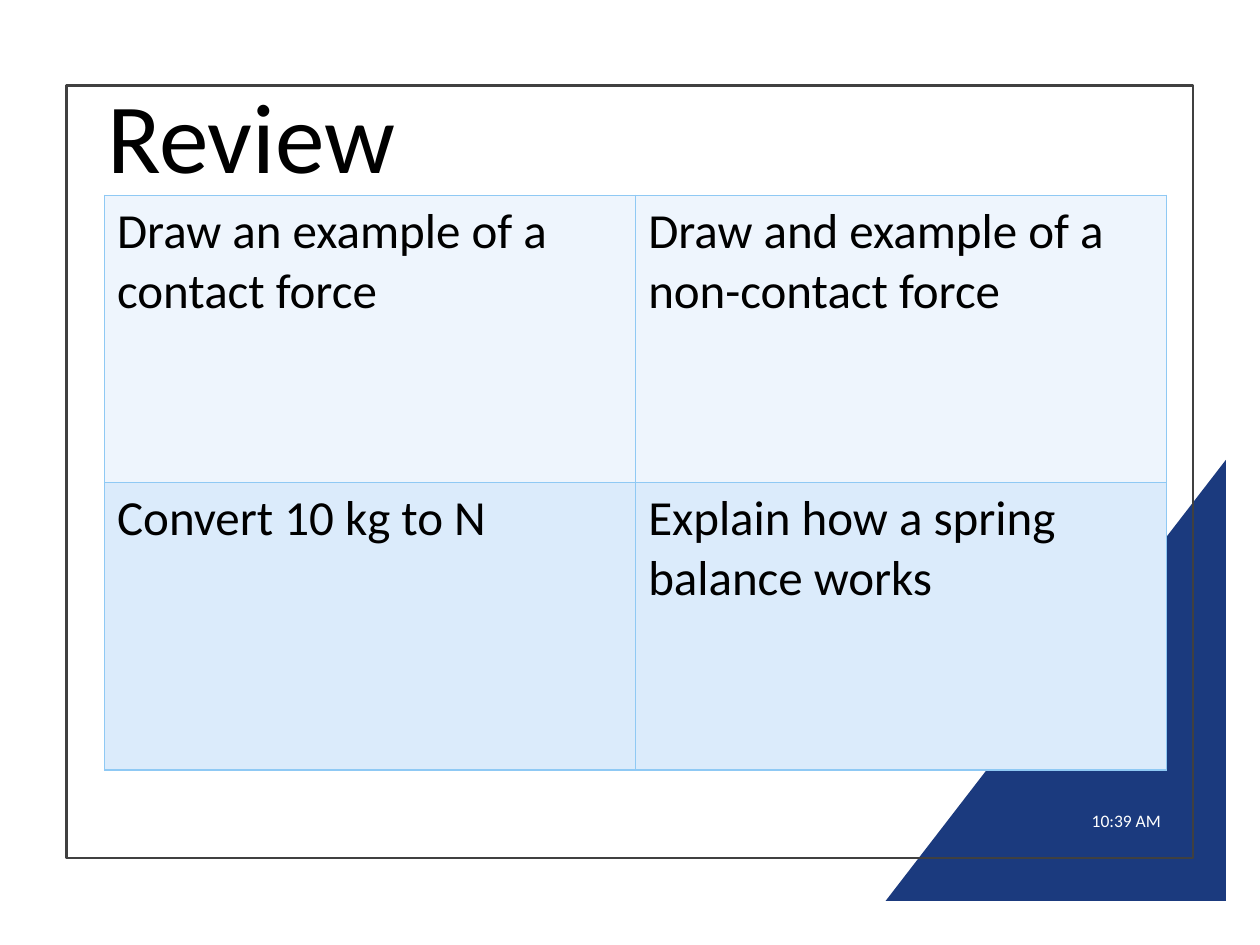
from typing import NamedTuple

from lxml.etree import SubElement
from pptx import Presentation
from pptx.dml.color import RGBColor
from pptx.enum.shapes import MSO_SHAPE
from pptx.enum.text import MSO_ANCHOR, PP_ALIGN
from pptx.oxml.ns import qn
from pptx.util import Inches, Pt

FONT = "Calibri"
BLACK, WHITE, NAVY, GRAY = "000000", "FFFFFF", "1B3A7E", "404040"
BORDER = "8FC9F4"


class QuestionRow(NamedTuple):
    fill: str
    questions: tuple[str, str]


ROWS = [
    QuestionRow("EEF5FD", ("Draw an example of a contact force",
                           "Draw and example of a non-contact force")),
    QuestionRow("DBEBFB", ("Convert 10 kg to N",
                           "Explain how a spring balance works")),
]


def rgb(color: str) -> RGBColor:
    return RGBColor.from_string(color)


def box(left: float, top: float, width: float, height: float) -> tuple:
    return Inches(left), Inches(top), Inches(width), Inches(height)


def write(tf, text: str, size: float, color: str):
    """Fill the text frame with one styled paragraph and return it."""
    tf.word_wrap = True
    p = tf.paragraphs[0]
    p.text = text
    p.font.name, p.font.size = FONT, Pt(size)
    p.font.color.rgb = rgb(color)
    return p


def add_corner(slide) -> None:
    sp = slide.shapes.add_shape(MSO_SHAPE.RIGHT_TRIANGLE, *box(7.03, 3.65, 2.7, 3.5))
    sp.shadow.inherit = False
    sp.fill.solid()
    sp.fill.fore_color.rgb = rgb(NAVY)
    sp.line.fill.background()
    sp._element.spPr.find(qn("a:xfrm")).set("flipH", "1")


def add_frame(slide) -> None:
    sp = slide.shapes.add_shape(MSO_SHAPE.RECTANGLE, *box(0.53, 0.68, 8.94, 6.13))
    sp.shadow.inherit = False
    sp.fill.background()
    sp.line.color.rgb = rgb(GRAY)
    sp.line.width = Pt(1.5)


def set_title(slide, text: str) -> None:
    title = slide.shapes.title
    title.left, title.top, title.width, title.height = box(0.75, 0.75, 6.85, 0.74)
    tf = title.text_frame
    tf.vertical_anchor = MSO_ANCHOR.MIDDLE
    p = write(tf, text, 56.7, BLACK)
    p.alignment = PP_ALIGN.LEFT
    p.line_spacing = 0.9


def add_time(slide, text: str) -> None:
    tf = slide.shapes.add_textbox(*box(7.41, 6.31, 1.9, 0.4)).text_frame
    tf.vertical_anchor = MSO_ANCHOR.MIDDLE
    p = write(tf, text, 10, WHITE)
    p.alignment = PP_ALIGN.RIGHT
    p.space_after = Pt(6)


def add_borders(cell, color: str, width: float) -> None:
    tc_pr = cell._tc.get_or_add_tcPr()
    for side in ("lnL", "lnR", "lnT", "lnB"):
        ln = SubElement(tc_pr, qn(f"a:{side}"), w=str(Pt(width)))
        SubElement(SubElement(ln, qn("a:solidFill")), qn("a:srgbClr"), val=color)


def add_questions(slide, rows: list[QuestionRow]) -> None:
    table = slide.shapes.add_table(len(rows), 2, *box(0.83, 1.55, 8.43, 4.56)).table
    table.first_row = table.horz_banding = False
    for r, row in enumerate(rows):
        for c, question in enumerate(row.questions):
            cell = table.cell(r, c)
            add_borders(cell, BORDER, 1)
            cell.fill.solid()
            cell.fill.fore_color.rgb = rgb(row.fill)
            write(cell.text_frame, question, 28, BLACK)


def main() -> None:
    prs = Presentation()
    prs.slide_width, prs.slide_height = Inches(10), Inches(7.5)
    slide = prs.slides.add_slide(prs.slide_layouts[5])
    add_corner(slide)
    add_frame(slide)
    set_title(slide, "Review")
    add_time(slide, "10:39 AM")
    add_questions(slide, ROWS)
    prs.save("out.pptx")


if __name__ == "__main__":
    main()
